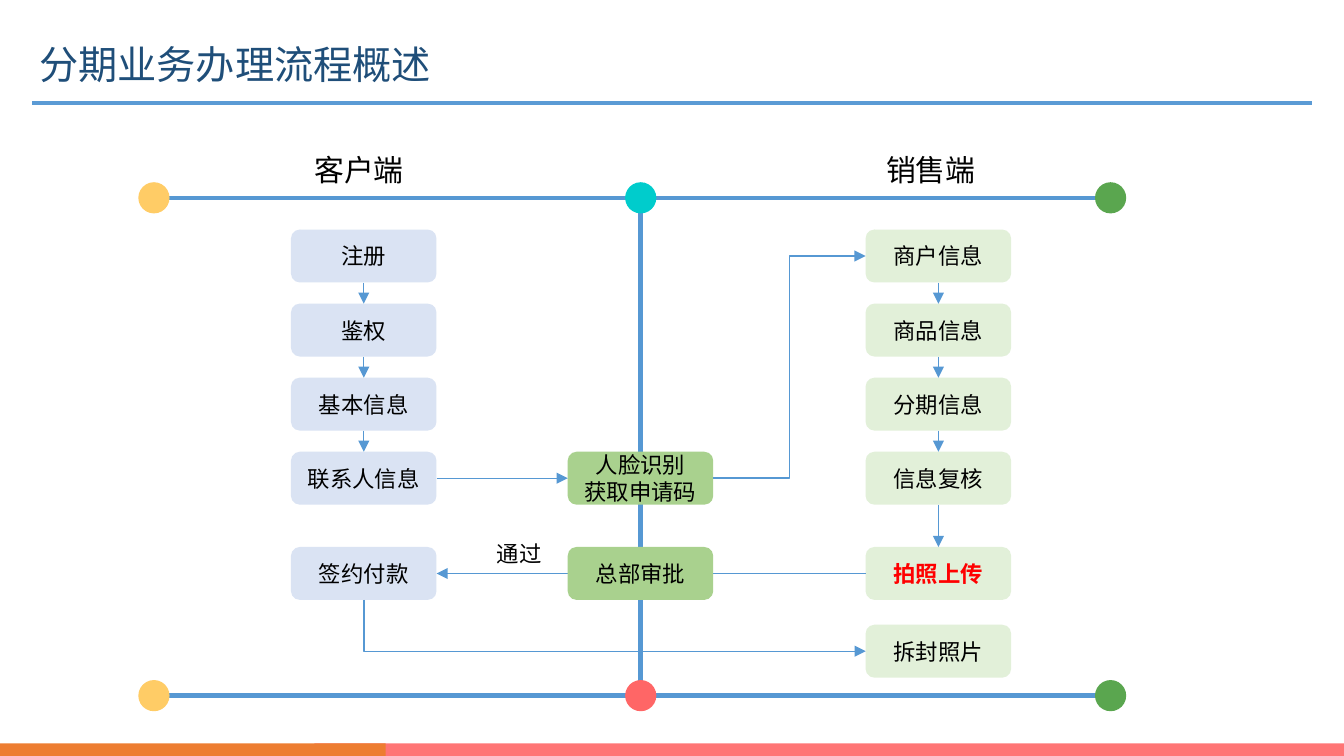
import pptx
import pptx.util
import pptx.dml.color
import pptx.enum.shapes
import pptx.enum.text
import pptx.oxml.ns
from lxml import etree

Cm, Pt = pptx.util.Cm, pptx.util.Pt
SHAPE = pptx.enum.shapes.MSO_SHAPE
LINK = pptx.enum.shapes.MSO_CONNECTOR
ALIGN = pptx.enum.text.PP_ALIGN
ANCHOR = pptx.enum.text.MSO_ANCHOR
qn = pptx.oxml.ns.qn

FONT = "Noto Sans CJK SC"
COLORS = {
    "title": "1F4E79", "rule": "5B9BD5", "flow": "5698D3", "text": "000000",
    "alert": "FF0000", "customer": "DAE3F3", "sales": "E2F0D9", "review": "A9D18E",
    "yellow": "FFCC66", "teal": "00CCCC", "green": "5AA64F", "coral": "FF6666",
    "orange": "ED7D31", "pink": "FF7575",
}

TITLE = "分期业务办理流程概述"
LABELS = [
    ("客户端", 5.69, 2.74, 2.8, 0.95, 0.25, {"size": Pt(16)}, ALIGN.LEFT),
    ("销售端", 16.5, 2.74, 2.8, 0.95, 0.25, {"size": Pt(16)}, ALIGN.LEFT),
    ("通过", 8.71, 10.08, 2.2, 0.76, 0.13, {"size": Pt(12)}, ALIGN.CENTER),
]
STEPS = [
    ("customer", 0, "注册"), ("customer", 1, "鉴权"),
    ("customer", 2, "基本信息"), ("customer", 3, "联系人信息"),
    ("sales", 0, "商户信息"), ("sales", 1, "商品信息"),
    ("sales", 2, "分期信息"), ("sales", 3, "信息复核"),
    ("sales", 4, "拍照上传"), ("sales", 5, "拆封照片"),
    ("customer", 4, "签约付款"), ("review", 3, "人脸识别\n获取申请码"),
]
APPROVAL = ("review", 4, "总部审批")
HIGHLIGHT = {"拍照上传": {"bold": True, "color": "alert"}}

TOP, LEFT, BOTTOM, RIGHT = range(4)
ARROWS = [
    (("customer", 3), RIGHT, ("review", 3), LEFT, LINK.STRAIGHT),
    (("review", 3), RIGHT, ("sales", 0), LEFT, LINK.ELBOW),
    (("sales", 4), LEFT, ("customer", 4), RIGHT, LINK.STRAIGHT),
    (("customer", 4), BOTTOM, ("sales", 5), LEFT, LINK.ELBOW),
]
ARROWS += [((lane, i), BOTTOM, (lane, i + 1), TOP, LINK.STRAIGHT)
           for lane, count in (("customer", 3), ("sales", 4)) for i in range(count)]

BOX_W, BOX_H = 2.75, 1.0
LANE_X = {"customer": 5.5, "review": 10.73, "sales": 16.36}
ROW_Y = [4.34 + 1.4 * i for i in range(4)] + [10.34, 11.81]
DOT = 0.59
DOT_X = [2.91, 12.11, 20.99]
RAILS = [(3.74, ("yellow", "teal", "green")), (13.15, ("yellow", "coral", "green"))]


def rgb(name):
    return pptx.dml.color.RGBColor.from_string(COLORS[name])


def write(tf, text, fmt, align, color="text"):
    fmt = {"name": FONT, **fmt}
    color = fmt.pop("color", color)
    tf.word_wrap = True
    for i, line in enumerate(text.split("\n")):
        p = tf.add_paragraph() if i else tf.paragraphs[0]
        p.alignment = align
        r = p.add_run()
        r.text = line
        for key, value in fmt.items():
            setattr(r.font, key, value)
        r.font.color.rgb = rgb(color)
        etree.SubElement(r._r.get_or_add_rPr(), qn("a:ea"), typeface=FONT)


def set_margins(tf, side):
    for key, value in {"left": side, "right": side, "top": 0.13, "bottom": 0.13}.items():
        setattr(tf, f"margin_{key}", Cm(value))


def add_block(kind, color, x, y, w, h):
    sp = s.shapes.add_shape(kind, Cm(x), Cm(y), Cm(w), Cm(h))
    sp.shadow.inherit = False
    sp.fill.solid()
    sp.fill.fore_color.rgb = rgb(color)
    sp.line.fill.background()
    return sp


def style_line(cxn, color, width):
    cxn.line.color.rgb = rgb(color)
    cxn.line.width = Pt(width)
    etree.SubElement(cxn._element.spPr, qn("a:effectLst"))


def add_line(x1, y1, x2, y2, color="flow", width=2.5):
    cxn = s.shapes.add_connector(LINK.STRAIGHT, Cm(x1), Cm(y1), Cm(x2), Cm(y2))
    style_line(cxn, color, width)


def add_step(lane, row, text):
    sp = add_block(SHAPE.ROUNDED_RECTANGLE, lane, LANE_X[lane], ROW_Y[row], BOX_W, BOX_H)
    sp.text_frame.vertical_anchor = ANCHOR.MIDDLE
    write(sp.text_frame, text, {"size": Pt(12), **HIGHLIGHT.get(text, {})}, ALIGN.CENTER)
    return sp


def turn_single_corner(cxn):
    x, y, w, h = cxn.left, cxn.top, cxn.width, cxn.height
    cxn.left, cxn.top = x + (w - h) // 2, y + (h - w) // 2
    cxn.width, cxn.height = h, w
    xfrm = cxn._element.spPr.find(qn("a:xfrm"))
    xfrm.set("rot", "16200000")
    xfrm.set("flipH", "1")
    cxn._element.spPr.find(qn("a:prstGeom")).set("prst", "bentConnector2")


def add_arrow(start, start_site, end, end_site, kind):
    cxn = s.shapes.add_connector(kind, 0, 0, 0, 0)
    cxn.begin_connect(start, start_site)
    cxn.end_connect(end, end_site)
    if kind == LINK.ELBOW and start_site == BOTTOM:
        turn_single_corner(cxn)
    style_line(cxn, "flow", 0.75)
    etree.SubElement(cxn.line._get_or_add_ln(), qn("a:tailEnd"), type="triangle")


prs = pptx.Presentation()
prs.slide_width, prs.slide_height = Cm(25.4), Cm(14.29)
s = prs.slides.add_slide(prs.slide_layouts[5])

add_block(SHAPE.RECTANGLE, "pink", 5.94, 14.05, 19.46, 0.24)
add_block(SHAPE.RECTANGLE, "orange", 0, 14.05, 7.29, 0.24)
add_line(0.61, 1.95, 24.79, 1.95, "rule", 2)

title = s.shapes.title
for key, value in {"left": 0.61, "top": 0.74, "width": 10.31, "height": 1.19}.items():
    setattr(title, key, Cm(value))
tf = title.text_frame
tf.auto_size = pptx.enum.text.MSO_AUTO_SIZE.NONE
tf.vertical_anchor = ANCHOR.TOP
set_margins(tf, 0.13)
write(tf, TITLE, {"size": Pt(21)}, ALIGN.LEFT, "title")
tf.paragraphs[0].line_spacing = 0.9

add_line(DOT_X[1], RAILS[0][0], DOT_X[1], RAILS[1][0])
for y, dots in RAILS:
    add_line(DOT_X[0], y, DOT_X[-1], y)
    for x, color in zip(DOT_X, dots):
        add_block(SHAPE.OVAL, color, x - DOT / 2, y - DOT / 2, DOT, DOT)

boxes = {(lane, row): add_step(lane, row, text) for lane, row, text in STEPS}
for start, start_site, end, end_site, kind in ARROWS:
    add_arrow(boxes[start], start_site, boxes[end], end_site, kind)
add_step(*APPROVAL)

for text, x, y, w, h, side, fmt, align in LABELS:
    tf = s.shapes.add_textbox(Cm(x), Cm(y), Cm(w), Cm(h)).text_frame
    set_margins(tf, side)
    write(tf, text, fmt, align)

prs.save("out.pptx")
